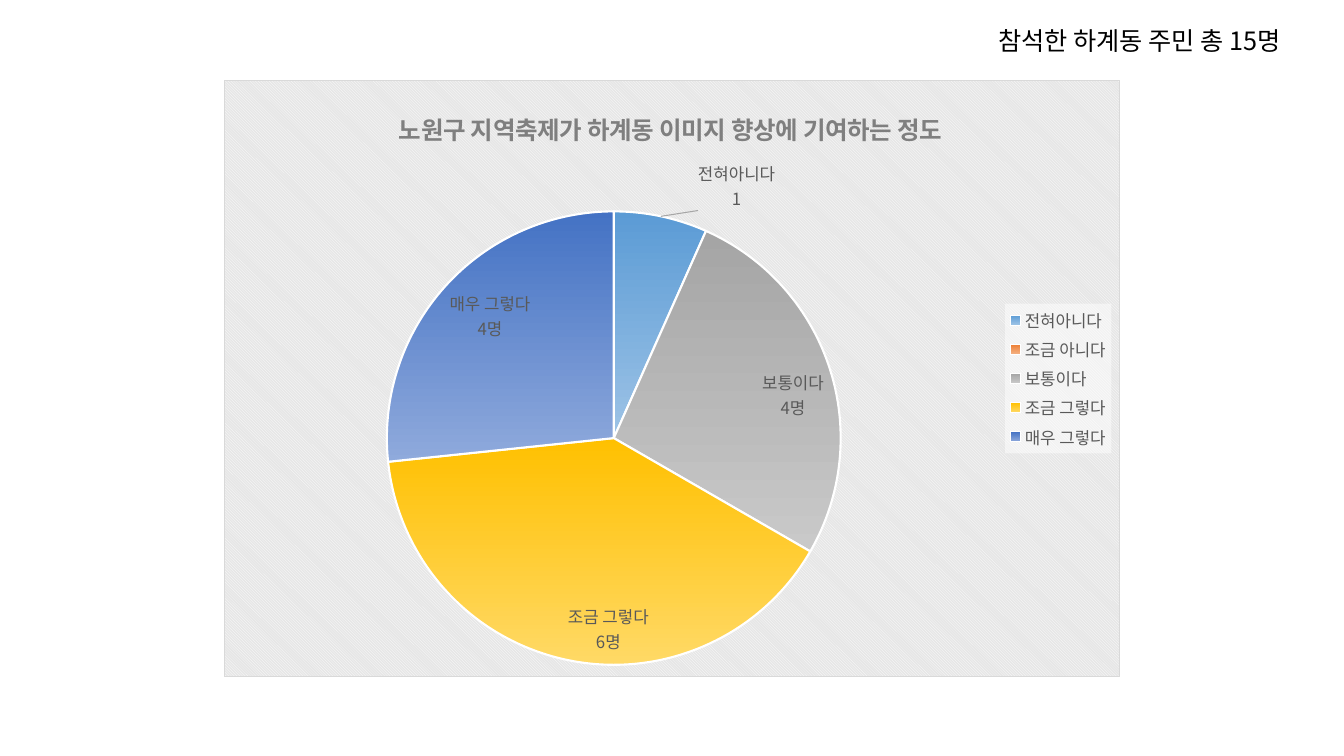
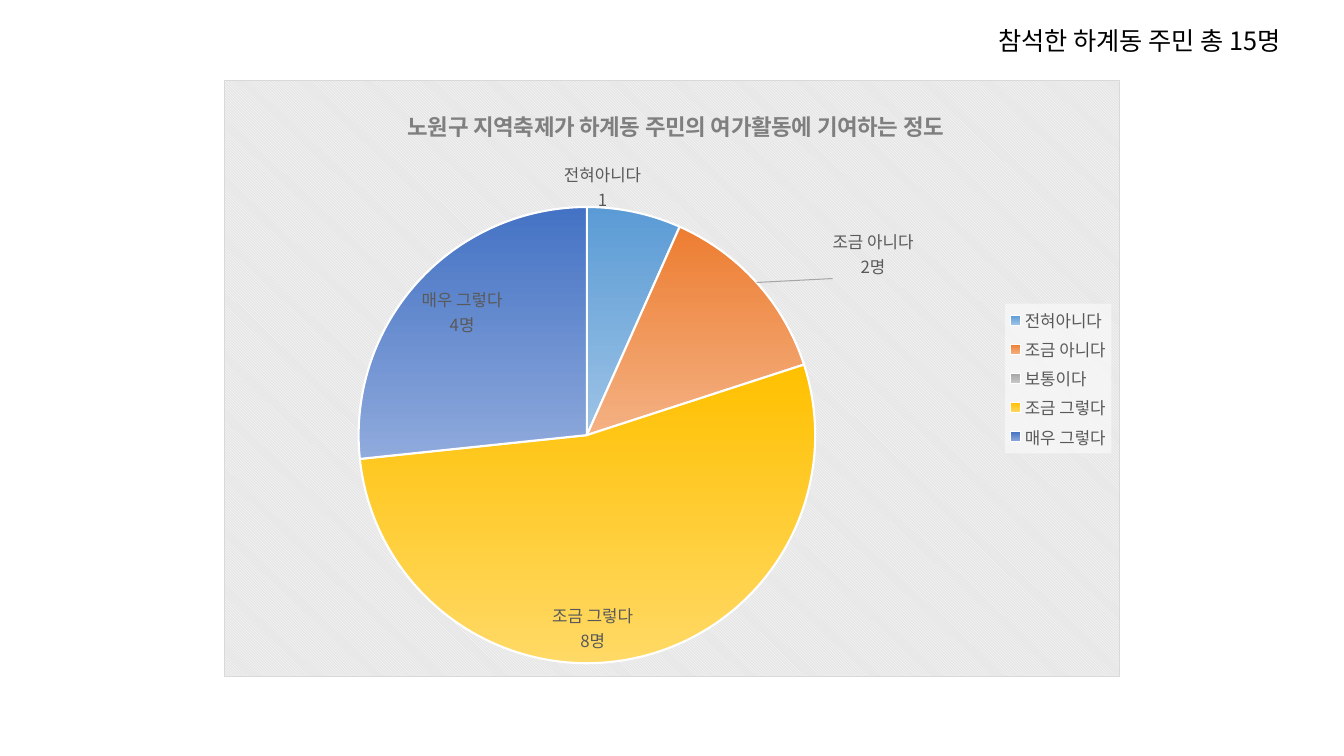
import pptx
import pptx.chart.data
import pptx.dml.color
import pptx.enum.chart
import pptx.enum.text
import pptx.oxml
import pptx.oxml.ns
import pptx.util
from dataclasses import dataclass

Inches, Pt = pptx.util.Inches, pptx.util.Pt
Place = pptx.enum.chart.XL_LABEL_POSITION

HEAD = "참석한 하계동 주민 총 15명"
ANSWERS = ["전혀아니다", "조금 아니다", "보통이다", "조금 그렇다", "매우 그렇다"]

# plot: left, top, width, height as shares of the chart.
# outer: labels set outside the pie, with their shift as shares of the chart.
# plain: answers whose count stands without a unit.
SLIDES = [
    dict(title="노원구 지역축제가 하계동 이미지 향상에 기여하는 정도", size=17.5,
         spot=(0.19, 0.04), votes=[1, None, 4, 6, 4],
         plot=(0.18, 0.22, 0.51, 0.76), outer={0: (0.04, 0)}, plain=[0]),
    dict(title="노원구 지역축제가 하계동 주민의 여가활동에 기여하는 정도", size=16,
         spot=(0.2, 0.04), votes=[1, 2, None, 8, 4],
         plot=(0.15, 0.21, 0.51, 0.77),
         outer={0: (-0.08, 0.01), 1: (0.08, 0)}, plain=[0]),
]


@dataclass(frozen=True)
class Theme:
    font: str = "Noto Sans CJK KR"
    ink: str = "000000"
    gray: str = "595959"
    title: str = "7F7F7F"
    white: str = "FFFFFF"
    back: str = "E6E6E6"
    edge: str = "D9D9D9"
    lead: str = "A6A6A6"
    head: float = 18
    note: float = 12
    base: float = 10
    slices: tuple = (("5B9BD5", "9DC3E6"), ("ED7D31", "F4B183"),
                     ("A5A5A5", "C9C9C9"), ("FFC000", "FFD966"),
                     ("4472C4", "8FAADC"))


THEME = Theme()


def rgb(code):
    return pptx.dml.color.RGBColor.from_string(code)


def node(tag, inner="", attrs=""):
    names = pptx.oxml.ns.nsdecls("c", "a")
    return pptx.oxml.parse_xml(f"<{tag} {names} {attrs}>{inner}</{tag}>")


def solid(code, extra=""):
    return f'<a:solidFill><a:srgbClr val="{code}">{extra}</a:srgbClr></a:solidFill>'


def style(font, size, color, bold=False):
    """Set the face for Latin and Korean letters alike."""
    font.size, font.bold, font.name = Pt(size), bold, THEME.font
    font.color.rgb = rgb(color)
    latin = font._rPr.find(pptx.oxml.ns.qn("a:latin"))
    latin.addnext(node("a:ea", attrs=f'typeface="{THEME.font}"'))


def lay(part, index, inner=False, **sizes):
    """Give a chart part a manual layout, as shares of the chart."""
    for old in part.xpath("c:layout"):
        part.remove(old)
    rules = '<c:layoutTarget val="inner"/>' if inner else ""
    if "edge" in sizes:
        sizes.pop("edge")
        rules += '<c:xMode val="edge"/><c:yMode val="edge"/>'
    rules += "".join(f'<c:{key} val="{val}"/>' for key, val in sizes.items())
    part.insert(index, node("c:layout", f"<c:manualLayout>{rules}</c:manualLayout>"))


def add_head(slide):
    box = slide.shapes.title
    box.left, box.top = Inches(9.8), Inches(0.2)
    box.width, box.height = Inches(3.36), Inches(0.4)
    frame = box.text_frame
    frame.text = HEAD
    frame.word_wrap = False
    frame.auto_size = pptx.enum.text.MSO_AUTO_SIZE.SHAPE_TO_FIT_TEXT
    frame.vertical_anchor = pptx.enum.text.MSO_ANCHOR.TOP
    line = frame.paragraphs[0]
    line.alignment = pptx.enum.text.PP_ALIGN.LEFT
    style(line.runs[0].font, THEME.head, THEME.ink)


def add_title(chart, item):
    chart.has_title = True
    frame = chart.chart_title.text_frame
    frame.text = item["title"]
    style(frame.paragraphs[0].runs[0].font, item["size"], THEME.title, True)
    x, y = item["spot"]
    lay(chart.element.xpath("c:chart/c:title")[0], 1, edge=True, x=x, y=y)


def add_slices(series):
    for i, pair in enumerate(THEME.slices):
        form = series.points[i].format
        form.fill.gradient()
        form.fill.gradient_angle = 270
        for stop, code in zip(form.fill.gradient_stops, pair):
            stop.color.rgb = rgb(code)
        form.line.color.rgb = rgb(THEME.white)
        form.line.width = Pt(1.5)


def add_labels(chart, series, item):
    labels = series.data_labels
    labels.show_value = labels.show_category_name = True
    style(labels.font, THEME.note, THEME.gray)
    for i, count in enumerate(item["votes"]):
        if count is None:
            continue
        label = series.points[i].data_label
        if i in item["plain"]:
            style(label.font, THEME.note, THEME.gray)
        else:
            label.text_frame.text = f"{ANSWERS[i]}\n{count}명"
            for line in label.text_frame.paragraphs:
                style(line.runs[0].font, THEME.note, THEME.gray)
        label.position = Place.OUTSIDE_END if i in item["outer"] else Place.INSIDE_END
        part = chart.element.xpath(f".//c:dLbl[c:idx/@val='{i}']")[0]
        part.xpath("c:showCatName")[0].set("val", "1")
        if i in item["outer"]:
            x, y = item["outer"][i]
            lay(part, 1, x=x, y=y)
    for last in chart.element.xpath(".//c:showBubbleSize"):
        last.addnext(node("c:separator", "\n"))
    line = f'<c:spPr><a:ln w="9525">{solid(THEME.lead)}</a:ln></c:spPr>'
    for flag in chart.element.xpath(".//c:showLeaderLines"):
        flag.addnext(node("c:leaderLines", line))


def add_legend(chart):
    chart.has_legend = True
    legend = chart.legend
    legend.position = pptx.enum.chart.XL_LEGEND_POSITION.RIGHT
    legend.include_in_layout = False
    style(legend.font, THEME.note, THEME.gray)
    veil = solid(THEME.white, '<a:alpha val="50000"/>')
    chart.element.xpath(".//c:legend/c:overlay")[0].addnext(node("c:spPr", veil))


def add_back(chart):
    fill = (f'<a:pattFill prst="dkDnDiag">'
            f'<a:fgClr><a:srgbClr val="{THEME.white}"/></a:fgClr>'
            f'<a:bgClr><a:srgbClr val="{THEME.back}"/></a:bgClr></a:pattFill>')
    line = f'<a:ln w="9525">{solid(THEME.edge)}</a:ln>'
    chart.element.xpath("c:chart")[0].addnext(node("c:spPr", fill + line))


def add_pie(slide, item):
    data = pptx.chart.data.CategoryChartData()
    data.categories = ANSWERS
    data.add_series("Series 1", item["votes"])
    chart = slide.shapes.add_chart(
        pptx.enum.chart.XL_CHART_TYPE.PIE, Inches(2.22), Inches(0.79),
        Inches(8.89), Inches(5.93), data).chart
    style(chart.font, THEME.base, THEME.ink)
    plot = chart.plots[0]
    plot.vary_by_categories = True
    add_title(chart, item)
    add_slices(plot.series[0])
    add_labels(chart, plot.series[0], item)
    add_legend(chart)
    add_back(chart)
    x, y, w, h = item["plot"]
    lay(chart.element.xpath(".//c:plotArea")[0], 0, inner=True,
        edge=True, x=x, y=y, w=w, h=h)


def main():
    deck = pptx.Presentation()
    deck.slide_width, deck.slide_height = Inches(13.33), Inches(7.5)
    for item in SLIDES:
        slide = deck.slides.add_slide(deck.slide_layouts[5])
        add_pie(slide, item)
        add_head(slide)
    deck.save("out.pptx")


if __name__ == "__main__":
    main()
